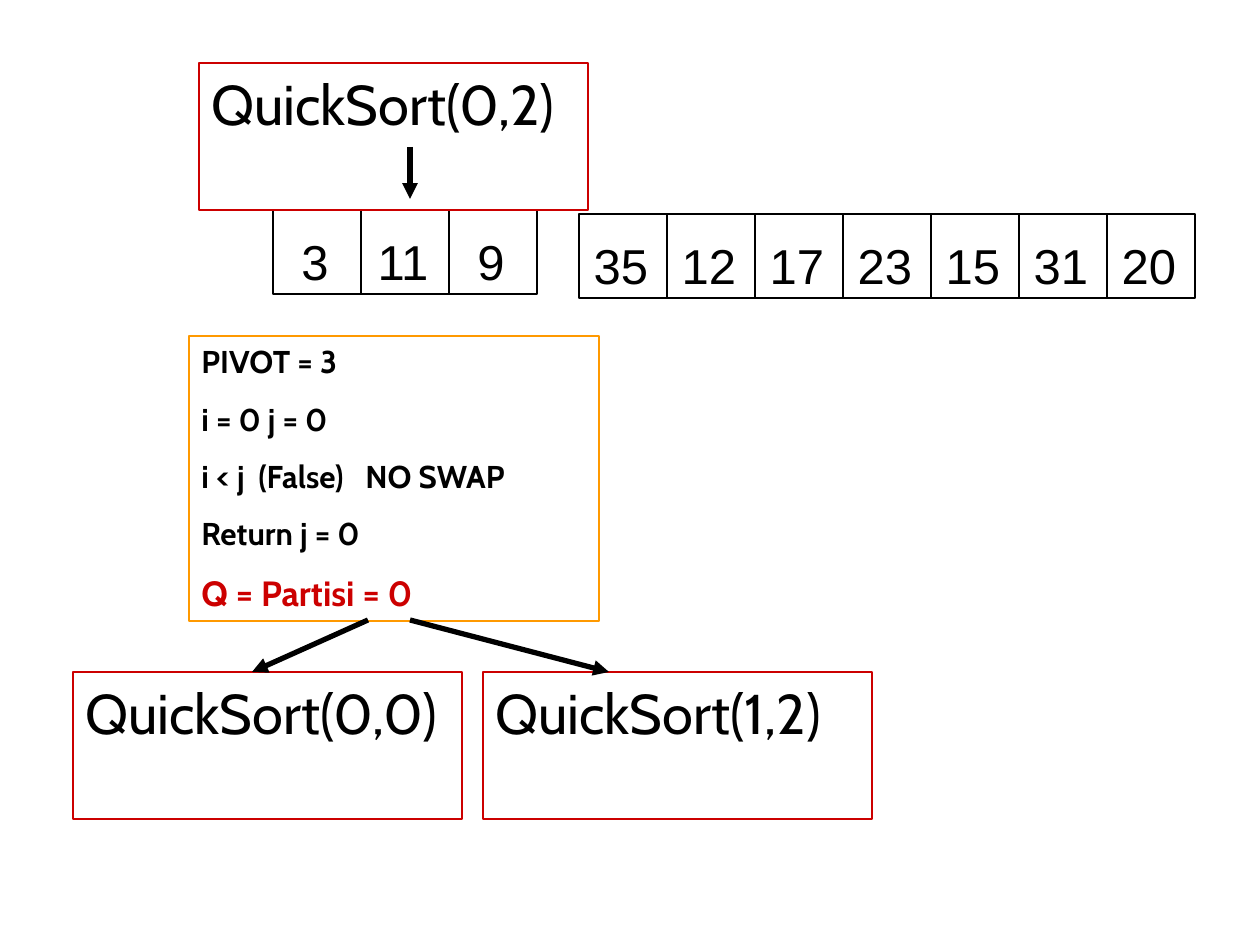
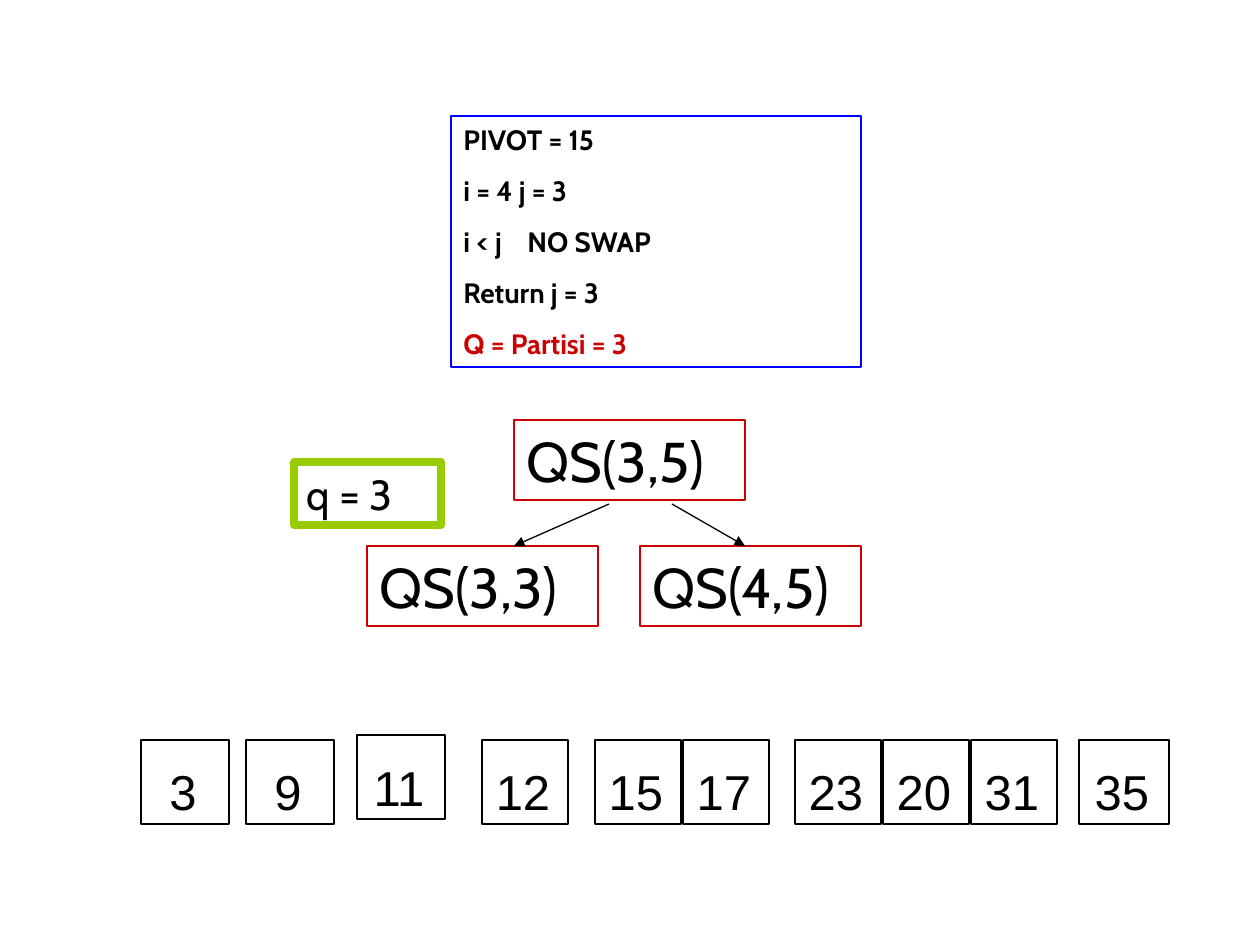
from lxml import etree
from pptx import Presentation, util as u
from pptx.dml.color import RGBColor
from pptx.enum import shapes, text
from pptx.oxml.ns import qn

PX_PER_INCH = 126
BLACK, RED, ORANGE, BLUE, GREEN = "000000", "CC0000", "FF9900", "0000FF", "99CC00"
CELL_PITCH, CELL_HEIGHT = 88, 84

SLIDES = [
    {
        "cells": [
            (273, 210, 88, [3, 11, 9]),
            (579, 214, 88, [35, 12, 17, 23, 15, 31, 20]),
        ],
        "calls": [
            ("QuickSort(0,2)", 199, 63, 389, 147),
            ("QuickSort(0,0)", 73, 672, 389, 147),
            ("QuickSort(1,2)", 483, 672, 389, 147),
        ],
        "steps": {
            "place": (189, 336, 410, 285), "line": ORANGE,
            "size": 18, "result_size": 20, "gap": 11.2, "tabs": [57, 164],
            "lines": ["PIVOT = 3", "i = 0 j = 0", "i < j\t(False)\tNO SWAP",
                      "Return j = 0", "Q = Partisi = 0"],
        },
        "notes": [],
        "arrow_width": 3,
        "arrows": [(368, 620, 252, 672), (410, 147, 410, 199), (410, 620, 609, 672)],
    },
    {
        "cells": [
            (141, 740, 88, [3]),
            (246, 740, 88, [9]),
            (357, 735, 88, [11]),
            (482, 740, 86, [12]),
            (595, 740, 86, [15, 17]),
            (795, 740, 86, [23, 20, 31]),
            (1079, 740, 90, [35]),
        ],
        "calls": [
            ("QS(3,5)", 514, 420, 231, 80),
            ("QS(4,5)", 640, 546, 221, 80),
            ("QS(3,3)", 367, 546, 231, 80),
        ],
        "steps": {
            "place": (451, 116, 410, 251), "line": BLUE,
            "size": 16, "result_size": 16, "gap": 10, "tabs": [64],
            "lines": ["PIVOT = 15", "i = 4 j = 3", "i < j\tNO SWAP",
                      "Return j = 3", "Q = Partisi = 3"],
        },
        "notes": [("q = 3", 294, 462, 147, 63)],
        "arrow_width": 0.75,
        "arrows": [(609, 504, 514, 546), (672, 504, 745, 546)],
    },
]


def px(length):
    return u.Inches(length / PX_PER_INCH)


def color(value):
    return RGBColor.from_string(value)


def add_box(page, place, line, width):
    box = page.shapes.add_shape(shapes.MSO_SHAPE.RECTANGLE, *map(px, place))
    box.shadow.inherit = False
    box.fill.background()
    box.line.color.rgb = color(line)
    box.line.width = u.Pt(width)
    box.text_frame.word_wrap = True
    box.text_frame.vertical_anchor = text.MSO_ANCHOR.TOP
    return box


def write(para, words, size, font="Cabin", ink=BLACK, bold=False,
          align=text.PP_ALIGN.LEFT):
    para.text = words
    para.alignment = align
    para.font.name = font
    para.font.size = u.Pt(size)
    para.font.bold = bold
    para.font.color.rgb = color(ink)


def add_label(page, words, place, line, width, size):
    box = add_box(page, place, line, width)
    write(box.text_frame.paragraphs[0], words, size)


def add_cells(page, left, top, width, values):
    for index, value in enumerate(values):
        box = add_box(page, (left + index * CELL_PITCH, top, width, CELL_HEIGHT), BLACK, 1.5)
        frame = box.text_frame
        frame.margin_left = frame.margin_bottom = 0
        frame.margin_right, frame.margin_top = px(4), px(22)
        write(frame.paragraphs[0], str(value), 28, "Arial", align=text.PP_ALIGN.CENTER)


def add_tabs(para, stops):
    tabs = etree.SubElement(para._p.get_or_add_pPr(), qn("a:tabLst"))
    for stop in stops:
        etree.SubElement(tabs, qn("a:tab"), pos=str(px(stop)), algn="l")


def add_steps(page, steps):
    frame = add_box(page, steps["place"], steps["line"], 0.75).text_frame
    last = len(steps["lines"]) - 1
    for index, words in enumerate(steps["lines"]):
        para = frame.add_paragraph() if index else frame.paragraphs[0]
        if "\t" in words:
            add_tabs(para, steps["tabs"])
        if index:
            para.space_before = u.Pt(steps["gap"])
        size, ink = (steps["result_size"], RED) if index == last else (steps["size"], BLACK)
        write(para, words, size, ink=ink, bold=True)


def add_arrow(page, ends, width):
    arrow = page.shapes.add_connector(shapes.MSO_CONNECTOR.STRAIGHT, *map(px, ends))
    arrow.line.color.rgb = color(BLACK)
    arrow.line.width = u.Pt(width)
    etree.SubElement(arrow.line._get_or_add_ln(), qn("a:tailEnd"), type="triangle")
    etree.SubElement(arrow._element.spPr, qn("a:effectLst"))


def main():
    deck = Presentation()
    deck.slide_width, deck.slide_height = px(1260), px(945)
    for content in SLIDES:
        page = deck.slides.add_slide(deck.slide_layouts[6])
        for row in content["cells"]:
            add_cells(page, *row)
        for words, *place in content["calls"]:
            add_label(page, words, place, RED, 0.75, 32)
        add_steps(page, content["steps"])
        for words, *place in content["notes"]:
            add_label(page, words, place, GREEN, 4.5, 24)
        for ends in content["arrows"]:
            add_arrow(page, ends, content["arrow_width"])
    deck.save("out.pptx")


if __name__ == "__main__":
    main()
